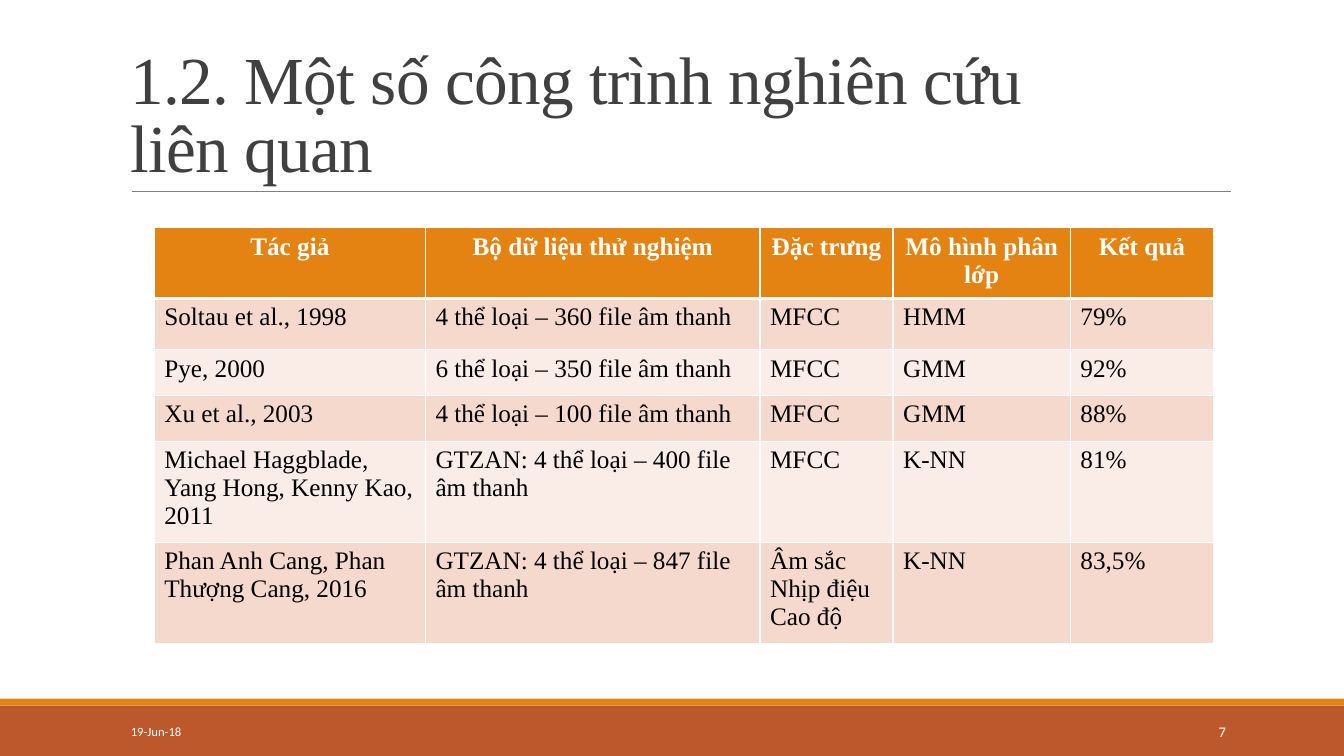
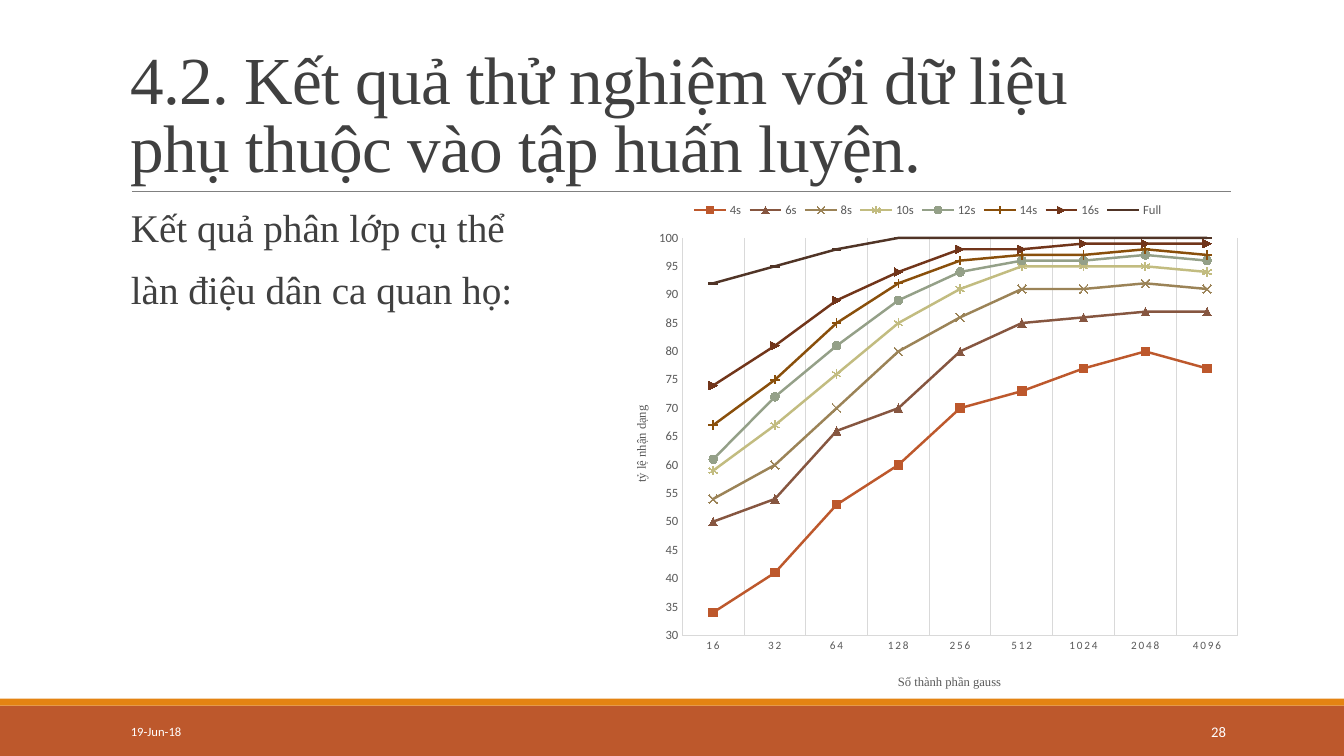
from lxml.etree import SubElement
from pptx import Presentation
from pptx.chart.data import CategoryChartData
from pptx.dml.color import RGBColor
from pptx.enum.chart import XL_CHART_TYPE as ChartType
from pptx.enum.chart import XL_LEGEND_POSITION as LegendPosition
from pptx.enum.chart import XL_MARKER_STYLE as Marker
from pptx.enum.chart import XL_TICK_MARK as TickMark
from pptx.enum.shapes import MSO_CONNECTOR as Connector
from pptx.enum.shapes import MSO_SHAPE as Shape
from pptx.enum.text import MSO_ANCHOR as Anchor
from pptx.enum.text import PP_ALIGN as Align
from pptx.oxml.ns import qn
from pptx.util import Pt

# Shared look
SERIF, SANS = "Times New Roman", "Calibri"
WHITE, BLACK, INK = "FFFFFF", "000000", "404040"
RUST, ORANGE = "BD582C", "E48312"
RULE_GRAY, AXIS_GRAY, LABEL_GRAY = "808080", "D9D9D9", "595959"
BAND_FILLS = ["F5D9CC", "FAEDE7"]
DATE = "19-Jun-18"

# Related work table
COLUMN_WIDTHS = [193.7, 239, 95, 126.7, 102.2]
ROW_HEIGHTS = [41.8, 36.7, 32.4, 33.1, 40.3, 40.3]
STUDIES = [
    ["Tác giả", "Bộ dữ liệu thử nghiệm", "Đặc trưng", "Mô hình phân lớp", "Kết quả"],
    ["Soltau et al., 1998", "4 thể loại – 360 file âm thanh", "MFCC", "HMM", "79%"],
    ["Pye, 2000", "6 thể loại – 350 file âm thanh", "MFCC", "GMM", "92%"],
    ["Xu et al., 2003", "4 thể loại – 100 file âm thanh", "MFCC", "GMM", "88%"],
    ["Michael Haggblade, Yang Hong, Kenny Kao, 2011",
     "GTZAN: 4 thể loại – 400 file âm thanh", "MFCC", "K-NN", "81%"],
    ["Phan Anh Cang, Phan Thượng Cang, 2016",
     "GTZAN: 4 thể loại – 847 file âm thanh", "Âm sắc\nNhịp điệu\nCao độ", "K-NN", "83,5%"],
]

# Recognition rate by number of Gaussians: name, colour, marker, filled, values
GAUSSIANS = [str(2 ** power) for power in range(4, 13)]
RATES = [
    ("4s", RUST, Marker.SQUARE, True, [34, 41, 53, 60, 70, 73, 77, 80, 77]),
    ("6s", "865640", Marker.TRIANGLE, True, [50, 54, 66, 70, 80, 85, 86, 87, 87]),
    ("8s", "9B8357", Marker.X, False, [54, 60, 70, 80, 86, 91, 91, 92, 91]),
    ("10s", "C2BC80", Marker.STAR, False, [59, 67, 76, 85, 91, 95, 95, 95, 94]),
    ("12s", "94A088", Marker.CIRCLE, True, [61, 72, 81, 89, 94, 96, 96, 97, 96]),
    ("14s", "894F0B", Marker.PLUS, False, [67, 75, 85, 92, 96, 97, 97, 98, 97]),
    ("16s", "71351A", Marker.DOT, True, [74, 81, 89, 94, 98, 98, 99, 99, 99]),
    ("Full", "503426", Marker.DASH, True, [92, 95, 98, 100, 100, 100, 100, 100, 100]),
]


def rgb(color):
    return RGBColor.from_string(color)


def style_font(font, name, size, color, bold=False):
    font.name, font.size, font.bold = name, Pt(size), bold
    font.color.rgb = rgb(color)


def style_line(line, color, width):
    line.color.rgb = rgb(color)
    line.width = Pt(width)


def style_text(frame, name, size, color, bold=False, align=None):
    for para in frame.paragraphs:
        para.alignment = align
        for span in para.runs:
            style_font(span.font, name, size, color, bold)


def add_text(page, area, text, name, size, color, anchor=Anchor.TOP, align=None):
    box = page.shapes.add_textbox(*map(Pt, area))
    frame = box.text_frame
    frame.word_wrap = True
    frame.vertical_anchor = anchor
    frame.text = text
    style_text(frame, name, size, color, align=align)
    return frame


def add_band(page, top, height, color):
    band = page.shapes.add_shape(Shape.RECTANGLE, 0, Pt(top), Pt(960), Pt(height))
    band.shadow.inherit = False
    band.fill.solid()
    band.fill.fore_color.rgb = rgb(color)
    band.line.fill.background()


def add_page(deck, title, number):
    """Blank page with the bands, title, rule and footer that all pages share."""
    page = deck.slides.add_slide(deck.slide_layouts[6])
    add_band(page, 504, 36, RUST)
    add_band(page, 499, 5, ORANGE)

    rule = page.shapes.add_connector(Connector.STRAIGHT, Pt(94.3), Pt(136.8), Pt(879), Pt(136.8))
    style_line(rule.line, RULE_GRAY, 0.5)
    SubElement(rule._element.spPr, qn("a:effectLst"))

    frame = add_text(page, (86.4, 22.3, 792, 114.5), title, SERIF, 48, INK, Anchor.BOTTOM)
    frame.paragraphs[0].line_spacing = 0.85
    for span in frame.paragraphs[0].runs:
        span.font._element.set("spc", "-50")

    add_text(page, (86.4, 508.3, 194.4, 28.8), DATE, SANS, 9, WHITE, Anchor.MIDDLE)
    add_text(page, (779.8, 508.3, 103, 28.8), number, SANS, 10.5, WHITE, Anchor.MIDDLE, Align.RIGHT)
    return page


def set_borders(cell, widths):
    """Draw white borders; widths go left, right, top, bottom."""
    properties = cell._tc.get_or_add_tcPr()
    for side, width in zip("LRTB", widths):
        border = SubElement(properties, qn(f"a:ln{side}"), w=str(Pt(width)))
        fill = SubElement(border, qn("a:solidFill"))
        SubElement(fill, qn("a:srgbClr"), val=WHITE)


def add_study_table(page):
    frame = page.shapes.add_table(len(STUDIES), len(COLUMN_WIDTHS), Pt(110.2), Pt(162.7),
                                  Pt(sum(COLUMN_WIDTHS)), Pt(sum(ROW_HEIGHTS)))
    table = frame.table
    table.horz_banding = False
    for column, width in zip(table.columns, COLUMN_WIDTHS):
        column.width = Pt(width)
    for index, (row, height, texts) in enumerate(zip(table.rows, ROW_HEIGHTS, STUDIES)):
        row.height = Pt(height)
        header = index == 0
        for cell, text in zip(row.cells, texts):
            cell.text_frame.text = text
            style_text(cell.text_frame, SERIF, 18, WHITE if header else BLACK, header,
                       Align.CENTER if header else None)
            set_borders(cell, (1, 1, 3 if index == 1 else 1, 3 if header else 1))
            cell.fill.solid()
            cell.fill.fore_color.rgb = rgb(ORANGE if header else BAND_FILLS[(index - 1) % 2])


def place_in_chart(element, index, **fractions):
    """Fix a chart part at fractions of the chart's width and height."""
    layout = element.find(qn("c:layout"))
    if layout is None:
        layout = element.makeelement(qn("c:layout"))
        element.insert(index, layout)
    manual = SubElement(layout, qn("c:manualLayout"))
    if "w" in fractions:
        SubElement(manual, qn("c:layoutTarget"), val="inner")
    for side in "xy":
        SubElement(manual, qn(f"c:{side}Mode"), val="edge")
    for key, value in fractions.items():
        SubElement(manual, qn(f"c:{key}"), val=str(value))


def style_axis(axis, title, size, left, top):
    axis.major_tick_mark = axis.minor_tick_mark = TickMark.NONE
    style_line(axis.format.line, AXIS_GRAY, 0.75)
    style_font(axis.tick_labels.font, SANS, size, LABEL_GRAY)
    axis.axis_title.text_frame.text = title
    style_text(axis.axis_title.text_frame, SERIF, 9, LABEL_GRAY)
    place_in_chart(axis.axis_title._element, 1, x=left, y=top)


def add_rate_chart(page):
    data = CategoryChartData()
    data.categories = GAUSSIANS
    for name, _, _, _, values in RATES:
        data.add_series(name, values)
    chart = page.shapes.add_chart(ChartType.LINE_MARKERS, Pt(432), Pt(136.8),
                                  Pt(461.5), Pt(368.6), data).chart
    style_font(chart.font, SANS, 10, BLACK)
    chart.has_title = False
    chart.has_legend = True
    chart.legend.position = LegendPosition.TOP
    chart.legend.include_in_layout = False
    style_font(chart.legend.font, SANS, 9, LABEL_GRAY)

    # Axes
    categories, rates = chart.category_axis, chart.value_axis
    style_axis(categories, "Số thành phần gauss", 8, 0.45, 0.93)
    categories.tick_labels.font._element.set("spc", "120")
    categories.has_major_gridlines = True
    style_line(categories.major_gridlines.format.line, AXIS_GRAY, 0.75)
    style_axis(rates, "tỷ lệ nhận dạng", 9, 0.04, 0.41)
    rates.has_major_gridlines = False
    rates.minimum_scale, rates.maximum_scale, rates.major_unit = 30, 100, 5
    place_in_chart(chart._chartSpace.chart.plotArea, 0, x=0.12, y=0.09, w=0.86, h=0.77)

    # Series
    plot = chart.plots[0]
    plot.vary_by_categories = False
    for series, (_, color, symbol, filled, _) in zip(plot.series, RATES):
        series.smooth = False
        style_line(series.format.line, color, 1.75)
        marker = series.marker
        marker.style, marker.size = symbol, 6
        style_line(marker.format.line, color, 0.75)
        if filled:
            marker.format.fill.solid()
            marker.format.fill.fore_color.rgb = rgb(color)
        else:
            marker.format.fill.background()


def add_body(page, text):
    frame = add_text(page, (86.4, 145.4, 792, 316.8), text, SERIF, 28, INK)
    for para in frame.paragraphs:
        para.line_spacing = 0.9
        para.space_before, para.space_after = Pt(12), Pt(2)


def main():
    deck = Presentation()
    deck.slide_width, deck.slide_height = Pt(960), Pt(540)

    page = add_page(deck, "1.2. Một số công trình nghiên cứu \vliên quan", "7")
    add_study_table(page)

    page = add_page(deck, "4.2. Kết quả thử nghiệm với dữ liệu \vphụ thuộc vào tập huấn luyện.", "28")
    add_body(page, "Kết quả phân lớp cụ thể\nlàn điệu dân ca quan họ:")
    add_rate_chart(page)

    deck.save("out.pptx")


if __name__ == "__main__":
    main()
